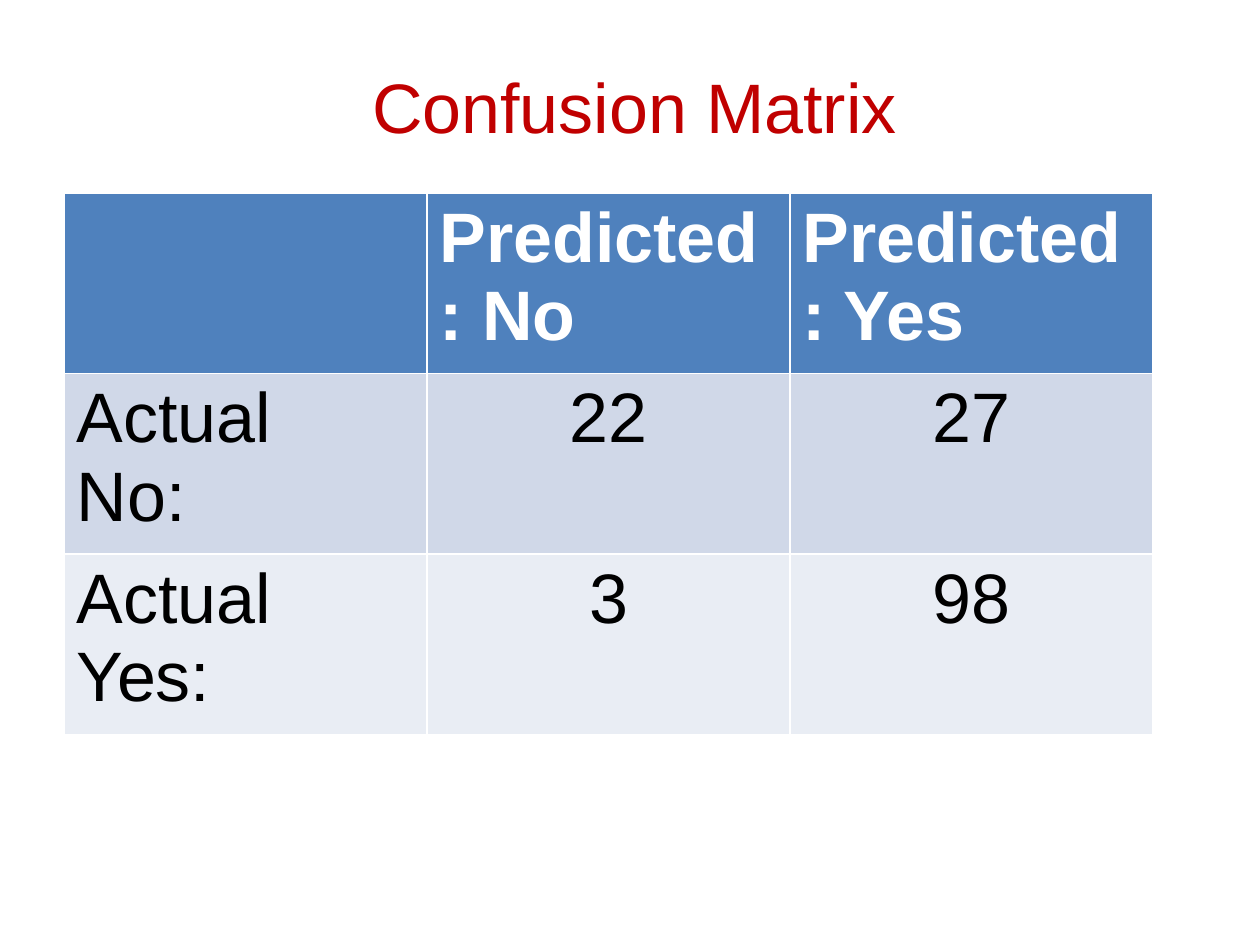
from pptx import Presentation
from pptx.dml.color import RGBColor
from pptx.enum.text import MSO_ANCHOR, PP_ALIGN
from pptx.util import Inches, Pt


def rgb(value):
    """Turn a hex string into a colour."""
    return RGBColor.from_string(value)


def style_text(tf, color, align, bold=False):
    """Format every paragraph of a text frame."""
    for p in tf.paragraphs:
        p.alignment = align
        for r in p.runs:
            r.font.name = "Arial"
            r.font.size = Pt(40)
            r.font.bold = bold
            r.font.color.rgb = rgb(color)


prs = Presentation()
prs.slide_width, prs.slide_height = Inches(10), Inches(7.5)
s = prs.slides.add_slide(prs.slide_layouts[6])

# Title
title = s.shapes.add_textbox(Inches(0.91), Inches(0.21), Inches(8.25), Inches(1.25))
tf = title.text_frame
tf.word_wrap = True
tf.vertical_anchor = MSO_ANCHOR.MIDDLE
tf.text = "Confusion Matrix"
style_text(tf, "C00000", PP_ALIGN.CENTER)

# Matrix: the default table style supplies the white borders
rows = [
    ["", "Predicted : No", "Predicted : Yes"],
    ["Actual \nNo:", "22", "27"],
    ["Actual Yes:", "3", "98"],
]
row_fills = ["4F81BD", "D0D8E8", "E9EDF4"]
matrix = s.shapes.add_table(3, 3, Inches(0.51), Inches(1.53),
                            Inches(8.64), Inches(4.02)).table

for i, (row, fill) in enumerate(zip(rows, row_fills)):
    for j, text in enumerate(row):
        cell = matrix.cell(i, j)
        cell.fill.solid()
        cell.fill.fore_color.rgb = rgb(fill)
        cell.text_frame.text = text
        header = i == 0
        align = PP_ALIGN.LEFT if header or j == 0 else PP_ALIGN.CENTER
        style_text(cell.text_frame, "FFFFFF" if header else "000000", align, header)

prs.save("out.pptx")
